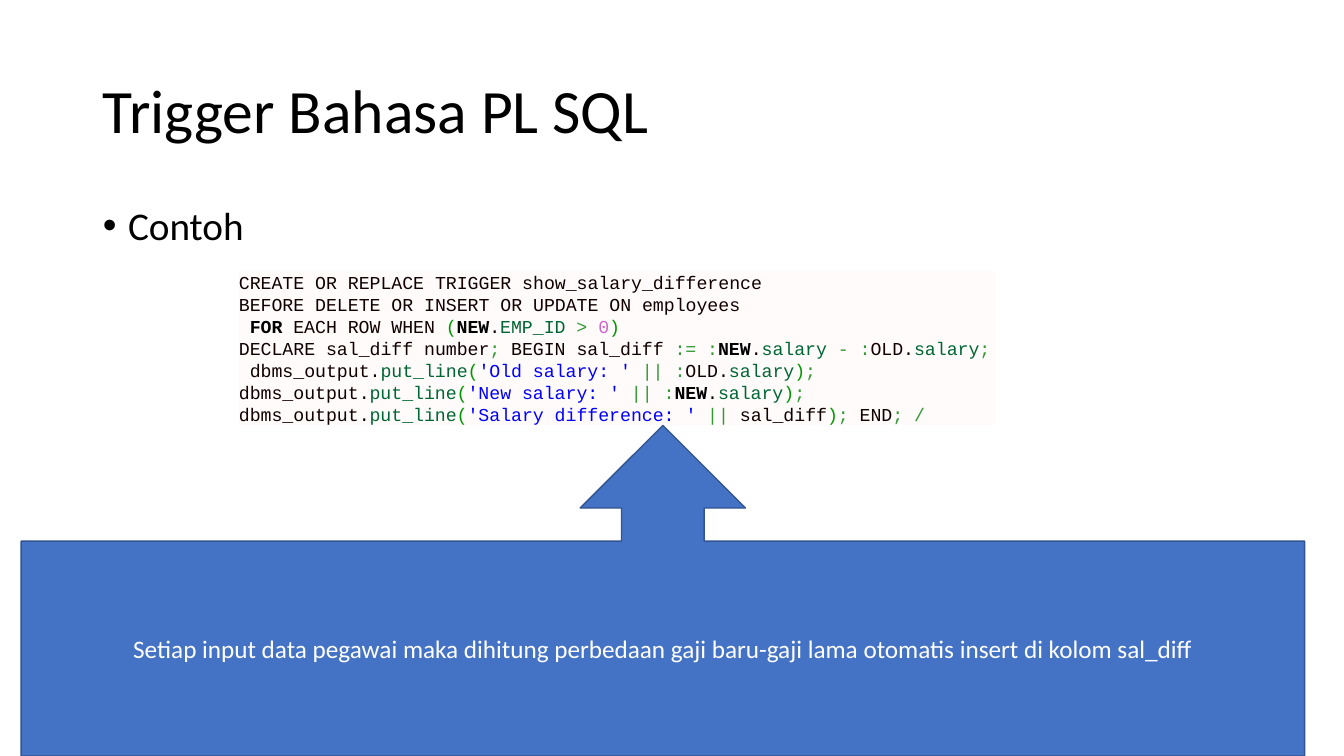
from typing import NamedTuple

from lxml import etree
from pptx import Presentation
from pptx.dml.color import RGBColor
from pptx.enum.shapes import MSO_SHAPE
from pptx.enum.text import MSO_ANCHOR, MSO_AUTO_SIZE, PP_ALIGN
from pptx.oxml.ns import qn
from pptx.util import Inches, Pt

RECTANGLE = MSO_SHAPE.RECTANGLE
UP_ARROW_CALLOUT = MSO_SHAPE.UP_ARROW_CALLOUT
LEFT, CENTER = PP_ALIGN.LEFT, PP_ALIGN.CENTER
MIDDLE, TOP = MSO_ANCHOR.MIDDLE, MSO_ANCHOR.TOP
FIT_SHAPE, NO_FIT = MSO_AUTO_SIZE.SHAPE_TO_FIT_TEXT, MSO_AUTO_SIZE.NONE

COLORS = {
    "text": "000000",
    "white": "FFFFFF",
    "code_fill": "FFFBFB",
    "callout_fill": "4472C4",
    "callout_line": "325491",
    # Syntax colours
    "plain": "110000",
    "keyword": "000000",
    "bracket": "009900",
    "member": "006633",
    "operator": "339933",
    "number": "CC66CC",
    "string": "0000FF",
}


class Box(NamedTuple):
    left: float
    top: float
    width: float
    height: float


class Token(NamedTuple):
    kind: str
    text: str


def rgb(name: str) -> RGBColor:
    return RGBColor.from_string(COLORS[name])


def place(shape, box: Box) -> None:
    shape.left, shape.top, shape.width, shape.height = map(Inches, box)


def style_paragraph(paragraph, font: str, size: float, color: str, align=LEFT) -> None:
    paragraph.alignment = align
    paragraph.font.name = font
    paragraph.font.size = Pt(size)
    paragraph.font.color.rgb = rgb(color)


def fill_placeholder(shape, box: Box, text: str, size: float, anchor):
    place(shape, box)
    frame = shape.text_frame
    frame.text = text
    frame.vertical_anchor = anchor
    frame.auto_size = NO_FIT
    paragraph = frame.paragraphs[0]
    style_paragraph(paragraph, "Calibri", size, "text")
    paragraph.line_spacing = 0.9
    return paragraph


def add_filled_shape(slide, kind, box: Box, fill: str):
    shape = slide.shapes.add_shape(kind, *map(Inches, box))
    shape.shadow.inherit = False
    shape.fill.solid()
    shape.fill.fore_color.rgb = rgb(fill)
    shape.text_frame.vertical_anchor = MIDDLE
    return shape


def add_code_line(paragraph, tokens: list[Token]) -> None:
    style_paragraph(paragraph, "Courier New", 13, "plain")
    for token in tokens:
        run = paragraph.add_run()
        run.text = token.text
        run.font.color.rgb = rgb(token.kind)
        if token.kind == "keyword":
            run.font.bold = True


def put_line(label: str, value: list[Token], indent: str = "") -> list[Token]:
    return [
        Token("plain", f"{indent}dbms_output."),
        Token("member", "put_line"),
        Token("bracket", "("),
        Token("string", f"'{label}: ' "),
        *value,
        Token("bracket", ")"),
        Token("operator", ";"),
    ]


NEW = [Token("keyword", "NEW"), Token("plain", ".")]
OLD_SALARY = [Token("plain", "OLD."), Token("member", "salary")]
JOIN_COLUMN = Token("operator", "|| :")

CODE_LINES = [
    [Token("plain", "CREATE OR REPLACE TRIGGER show_salary_difference")],
    [Token("plain", "BEFORE DELETE OR INSERT OR UPDATE ON employees")],
    [
        Token("keyword", " FOR"),
        Token("plain", " EACH ROW WHEN "),
        Token("bracket", "("),
        *NEW,
        Token("member", "EMP_ID "),
        Token("operator", "> "),
        Token("number", "0"),
        Token("bracket", ")"),
    ],
    [
        Token("plain", "DECLARE sal_diff number"),
        Token("operator", ";"),
        Token("plain", " BEGIN sal_diff "),
        Token("operator", ":= :"),
        *NEW,
        Token("member", "salary "),
        Token("operator", "- :"),
        *OLD_SALARY,
        Token("operator", ";"),
    ],
    put_line("Old salary", [JOIN_COLUMN, *OLD_SALARY], indent=" "),
    put_line("New salary", [JOIN_COLUMN, *NEW, Token("member", "salary")]),
    put_line("Salary difference", [Token("operator", "|| "), Token("plain", "sal_diff")])
    + [Token("plain", " END"), Token("operator", "; /")],
]

presentation = Presentation()
presentation.slide_width = Inches(13.33)
presentation.slide_height = Inches(7.5)
slide = presentation.slides.add_slide(presentation.slide_layouts[1])

# Title and bullet
title, body = slide.placeholders
fill_placeholder(title, Box(0.92, 0.4, 11.5, 1.45), "Trigger Bahasa PL SQL", 44, MIDDLE)
bullet = fill_placeholder(body, Box(0.92, 2, 11.5, 4.76), "Contoh", 28, TOP)
bullet.space_before = Pt(10)
properties = bullet._p.get_or_add_pPr()
properties.set("marL", str(Inches(0.25)))
properties.set("indent", str(Inches(-0.25)))
bullet_mark = etree.Element(qn("a:buChar"), char="•")
properties.find(qn("a:defRPr")).addprevious(bullet_mark)

# Trigger code
code = add_filled_shape(slide, RECTANGLE, Box(2.37, 2.69, 7.5, 1.53), "code_fill")
code.line.fill.background()
frame = code.text_frame
frame.margin_left = frame.margin_right = frame.margin_top = frame.margin_bottom = 0
frame.word_wrap = False
frame.auto_size = FIT_SHAPE
for index, tokens in enumerate(CODE_LINES):
    add_code_line(frame.add_paragraph() if index else frame.paragraphs[0], tokens)

# Explanation callout
callout = add_filled_shape(
    slide, UP_ARROW_CALLOUT, Box(0.21, 4.22, 12.73, 3.28), "callout_fill"
)
callout.line.color.rgb = rgb("callout_line")
callout.line.width = Pt(1)
callout.text_frame.word_wrap = True
callout.text_frame.text = (
    "Setiap input data pegawai maka dihitung perbedaan gaji baru-gaji lama "
    "otomatis insert di kolom sal_diff"
)
style_paragraph(callout.text_frame.paragraphs[0], "Calibri", 18, "white", CENTER)

presentation.save("out.pptx")
